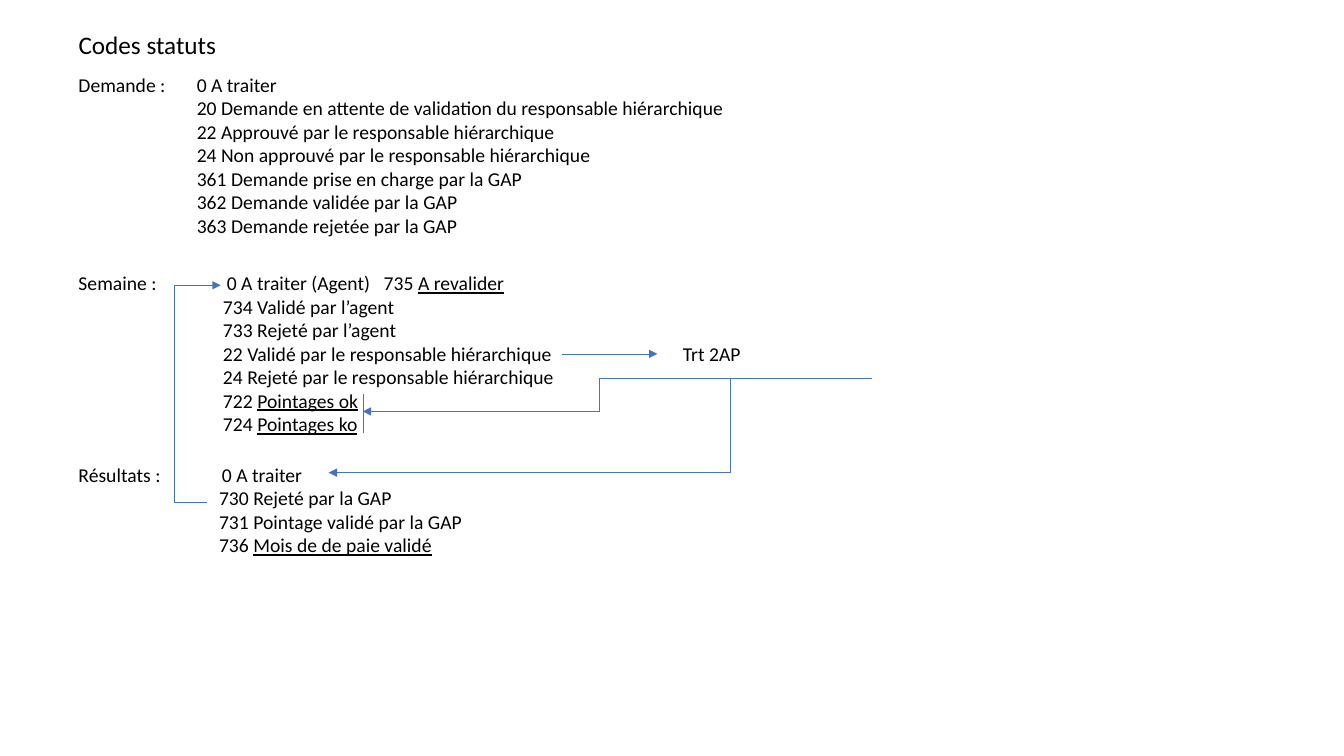
import pptx
import pptx.util
import pptx.dml.color
import pptx.enum.shapes
import pptx.enum.text
import pptx.oxml.ns
import lxml.etree
import dataclasses

Pt = pptx.util.Pt
Rgb = pptx.dml.color.RGBColor
Kind = pptx.enum.shapes.MSO_CONNECTOR
qn = pptx.oxml.ns.qn


@dataclasses.dataclass(frozen=True)
class Theme:
    font: str = "Calibri"
    ink: Rgb = Rgb(0, 0, 0)
    wire: Rgb = Rgb(0x44, 0x72, 0xC4)
    head: float = 18
    body: float = 14
    line: float = 0.5
    row: float = 16.9


THEME = Theme()


def add_text(slide, box, rows, size=THEME.body):
    """Each row is (indent, hang, plain text, underlined text)."""
    shape = slide.shapes.add_textbox(*map(Pt, box))
    frame = shape.text_frame
    frame.word_wrap = True
    frame.auto_size = pptx.enum.text.MSO_AUTO_SIZE.NONE
    for i, (indent, hang, plain, under) in enumerate(rows):
        para = frame.paragraphs[0] if i == 0 else frame.add_paragraph()
        para.text = plain
        if under:
            para.add_run().text = under
            para.runs[-1].font.underline = True
        for run in para.runs:
            run.font.name = THEME.font
            run.font.size = Pt(size)
            run.font.color.rgb = THEME.ink
        props = para._p.get_or_add_pPr()
        props.set("marL", str(int(Pt(indent))))
        props.set("indent", str(-int(Pt(hang))))


def add_group(slide, box, label, first, indent, rows):
    """A label with its first code hanging beside it, then the other codes."""
    start, code = first
    lines = [(start, start, f"{label}\t{code}", "")]
    lines += [(indent, 0, plain, under) for plain, under in rows]
    add_text(slide, box, lines)


def add_line(slide, start, end, arrow=False, bend=None):
    kind = Kind.STRAIGHT if bend is None else Kind.ELBOW
    wire = slide.shapes.add_connector(kind, *map(Pt, start + end))
    wire.line.color.rgb = THEME.wire
    wire.line.width = Pt(THEME.line)
    props = wire._element.spPr
    if arrow:
        lxml.etree.SubElement(props.find(qn("a:ln")), qn("a:tailEnd"), type="triangle")
    lxml.etree.SubElement(props, qn("a:effectLst"))
    if bend is not None:
        guides = props.find(qn("a:prstGeom")).find(qn("a:avLst"))
        rule = f"val {round(bend * 100000)}"
        lxml.etree.SubElement(guides, qn("a:gd"), name="adj1", fmla=rule)


def add_codes(slide, box):
    left, top, width, _ = box

    # Title
    add_text(slide, (left, top, 292, 29), [(0, 0, "Codes statuts", "")], THEME.head)

    # Request codes
    add_group(slide, (left, top + 31, width, 148), "Demande :", (84.5, "0 A traiter"), 84.5, [
        ("20 Demande en attente de validation du responsable hiérarchique", ""),
        ("22 Approuvé par le responsable hiérarchique", ""),
        ("24 Non approuvé par le responsable hiérarchique", ""),
        ("361 Demande prise en charge par la GAP", ""),
        ("362 Demande validée par la GAP", ""),
        ("363 Demande rejetée par la GAP", ""),
    ])

    # Week codes, with two notes beside their rows
    week = top + 172.8
    add_group(slide, (left, week, width, 143), "Semaine :", (106, "0 A traiter (Agent)"), 103.2, [
        ("734 Validé par l’agent", ""),
        ("733 Rejeté par l’agent", ""),
        ("22 Validé par le responsable hiérarchique", ""),
        ("24 Rejeté par le responsable hiérarchique", ""),
        ("722 ", "Pointages ok"),
        ("724 ", "Pointages ko"),
    ])
    for x, row, plain, under in [(218, 0, "735 ", "A revalider"), (431.7, 3, "Trt 2AP", "")]:
        note = (left + x, week + row * THEME.row, 120, 24)
        add_text(slide, note, [(0, 0, plain, under)])

    # Result codes
    add_group(slide, (left, top + 309.6, width, 109), "Résultats :", (102.5, "0 A traiter"), 100.4, [
        ("730 Rejeté par la GAP", ""),
        ("731 Pointage validé par la GAP", ""),
        ("736 ", "Mois de de paie validé"),
    ])


def add_flow(slide, box):
    left, top, width, height = box
    base = top + height
    fork = top + 66.3
    mark = left + 134.6

    # Return loop from the results to the week
    add_line(slide, (left, base), (left, top))
    add_line(slide, (left, top), (left + 33, top), arrow=True)
    add_line(slide, (left + 23, base), (left, base))

    # Validated week goes to processing
    add_line(slide, (left + 277.2, top + 49), (left + 345, top + 49), arrow=True)

    # Processing leads back to the check marks and the results
    add_line(slide, (left + 473, fork), (mark, fork + 23.8), arrow=True, bend=0.5)
    add_line(slide, (left + width, fork), (left + 110.2, fork + 67.5), arrow=True, bend=0.26)
    add_line(slide, (mark, top + 77.8), (mark, top + 105.2))


def main():
    deck = pptx.Presentation()
    deck.slide_width, deck.slide_height = Pt(960), Pt(540)
    slide = deck.slides.add_slide(deck.slide_layouts[6])
    add_codes(slide, (49, 17.3, 880, 419))
    add_flow(slide, (124.6, 203.8, 498, 154.8))
    deck.save("out.pptx")


if __name__ == "__main__":
    main()
